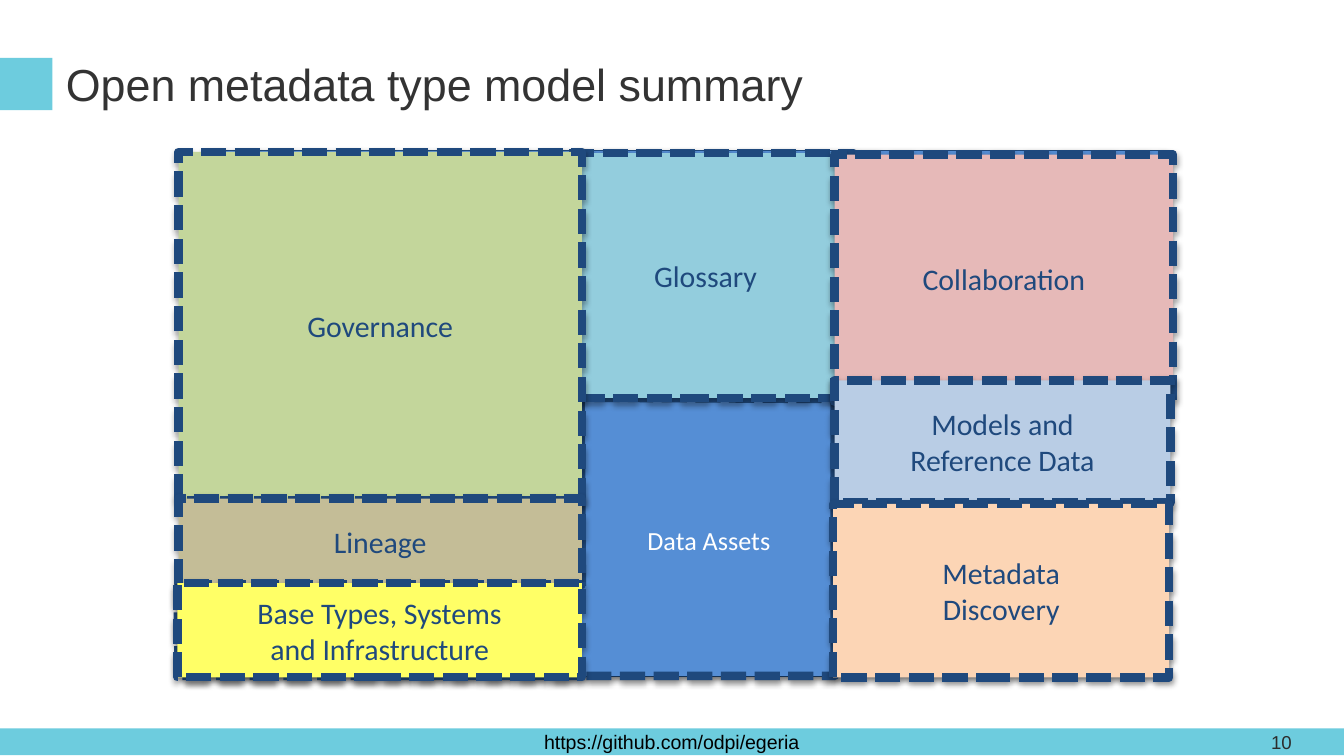
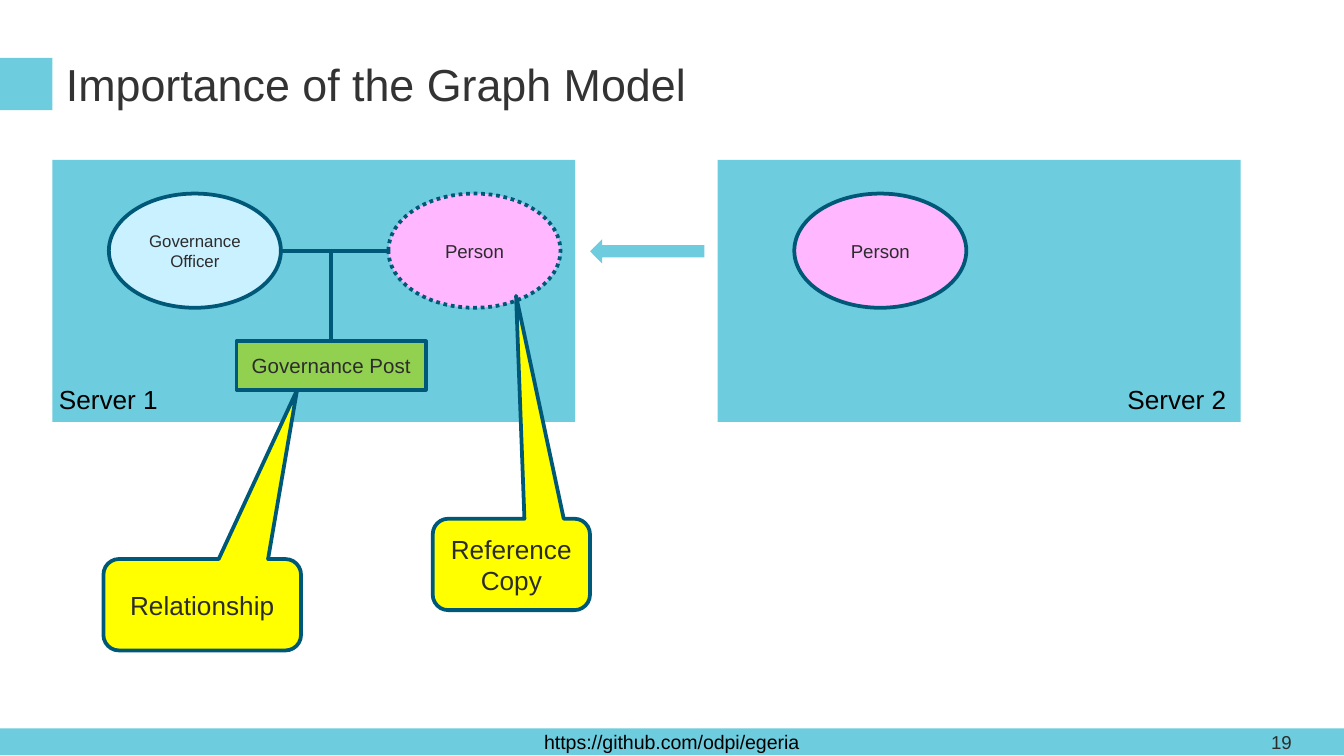
from dataclasses import dataclass

from lxml import etree
from pptx import Presentation
from pptx.dml.color import RGBColor
from pptx.enum.dml import MSO_LINE
from pptx.enum.shapes import MSO_CONNECTOR, MSO_SHAPE as SHAPE
from pptx.enum.text import MSO_ANCHOR as ANCHOR, MSO_AUTO_SIZE as AUTO, PP_ALIGN as ALIGN
from pptx.oxml.ns import qn
from pptx.util import Inches, Pt


@dataclass(frozen=True)
class Theme:
    band: str = "6DCCDE"
    title: str = "333333"
    body: str = "2C2C2C"
    black: str = "000000"
    white: str = "FFFFFF"
    navy: str = "1F497D"
    blue: str = "558ED5"
    teal: str = "005878"
    pink: str = "FFB7FF"
    sky: str = "C9F1FF"
    green: str = "92D050"
    yellow: str = "FFFF00"
    font: str = "Arial"
    area_font: str = "Calibri"
    title_pt: float = 24
    area_pt: float = 16
    label_pt: float = 14
    post_pt: float = 11
    footer_pt: float = 10.5
    number_pt: float = 10
    person_pt: float = 10
    officer_pt: float = 9


T = Theme()

# Content
FOOTER = "https://github.com/odpi/egeria"
SUMMARY_TITLE, SUMMARY_NUMBER = "Open metadata type model summary", 10
GRAPH_TITLE, GRAPH_NUMBER = "Importance of the Graph Model", 19

AREA_BACK = (1.53, 1.12, 7.15, 3.91)
DATA_ASSETS = ("Data Assets", (4.71, 3.85, 1.13, 0.34))
DATA_ASSETS_OUTLINE = [(4.33, 4.36), (4.32, 2.96), (6.21, 2.97),
                       (6.21, 5.03), (1.33, 5.03), (1.32, 4.37)]
AREAS = [  # text, box, fill
    ("Glossary", (4.15, 1.14, 2.2, 1.82), "93CDDD"),
    ("Collaboration", (6.21, 1.15, 2.52, 1.84), "E6B9B8"),
    ("Governance", (1.33, 1.13, 3, 2.59), "C3D69B"),
    ("Models and\nReference Data", (6.21, 2.83, 2.5, 0.91), "B9CDE5"),
    ("Metadata\nDiscovery", (6.2, 3.75, 2.5, 1.29), "FCD5B5"),
    ("Lineage", (1.33, 3.71, 3, 0.64), "C4BD97"),
    ("Base Types, Systems\nand Infrastructure", (1.32, 4.34, 3.01, 0.7), "FFFF66"),
]

SERVER_TOP, SERVER_W, SERVER_H = 1.19, 3.89, 1.95
SERVERS = [("Server 1", 0.39, 0.34), ("Server 2", 5.34, 8.29)]  # name, left, label left
ENTITY_TOP, ENTITY_W, ENTITY_H = 1.44, 1.28, 0.85
ENTITIES = [  # text, left, fill, size, dash
    ("Governance Officer", 0.81, T.sky, T.officer_pt, None),
    ("Person", 5.91, T.pink, T.person_pt, None),
    ("Person", 2.89, T.pink, T.person_pt, MSO_LINE.ROUND_DOT),
]
POST = ("Governance Post", (1.76, 2.54, 1.41, 0.36))
COPY_ARROW = (4.39, 1.78, 0.85, 0.18)
CALLOUTS = [  # text, box, adjustments
    ("Reference\nCopy", (3.22, 3.86, 1.17, 0.68), (0.03, -2.94, 0.17)),
    ("Relationship", (0.77, 4.16, 1.47, 0.68), (0.48, -2.35, 0.17)),
]


# Helpers
def rgb(value):
    return RGBColor.from_string(value)


def inches(values):
    return [Inches(v) for v in values]


def write(shape, text, size, color, font=T.font, align=ALIGN.CENTER, **frame):
    tf = shape.text_frame
    for name, value in ({"word_wrap": True} | frame).items():
        setattr(tf, name, value)
    for i, line in enumerate(text.split("\n")):
        p = tf.paragraphs[0] if i == 0 else tf.add_paragraph()
        p.alignment = align
        r = p.add_run()
        r.text = line
        for name, value in {"size": Pt(size), "name": font}.items():
            setattr(r.font, name, value)
        r.font.color.rgb = rgb(color)


def paint(shape, fill, line=None, width=1, dash=None):
    shape.shadow.inherit = False
    shape.fill.solid()
    shape.fill.fore_color.rgb = rgb(fill)
    if line is None:
        shape.line.fill.background()
        return
    shape.line.color.rgb = rgb(line)
    shape.line.width = Pt(width)
    if dash is not None:
        shape.line.dash_style = dash


def add_shape(s, kind, box, fill, **outline):
    shape = s.shapes.add_shape(kind, *inches(box))
    paint(shape, fill, **outline)
    return shape


def add_shadow(shape):
    effects = shape.element.spPr.find(qn("a:effectLst"))
    outer = etree.SubElement(effects, qn("a:outerShdw"), blurRad="40000",
                             dist="23000", dir="5400000", rotWithShape="0")
    color = etree.SubElement(outer, qn("a:srgbClr"), val=T.black)
    etree.SubElement(color, qn("a:alpha"), val="35000")


def add_label(s, text, box, color, font=T.font, align=ALIGN.LEFT):
    label = s.shapes.add_textbox(*inches(box))
    write(label, text, T.label_pt, color, font, align,
          word_wrap=False, auto_size=AUTO.SHAPE_TO_FIT_TEXT)


def add_line(s, start, end):
    line = s.shapes.add_connector(MSO_CONNECTOR.STRAIGHT, *inches(start + end))
    line.line.color.rgb = rgb(T.teal)
    line.line.width = Pt(2.25)
    etree.SubElement(line.element.spPr, qn("a:effectLst"))
    return line


# Shared parts
def margins(side, edge):
    return {"margin_left": Inches(side), "margin_right": Inches(side),
            "margin_top": Inches(edge), "margin_bottom": Inches(edge)}


def add_bands(s, layout):
    """Draw the footer band and title marker, then hand them to the layout."""
    for ph in list(layout.placeholders)[1:]:
        ph.element.getparent().remove(ph.element)
    footer = add_shape(s, SHAPE.RECTANGLE, (0, 5.42, 10, 0.2), T.band)
    write(footer, FOOTER, T.footer_pt, T.black, vertical_anchor=ANCHOR.MIDDLE,
          **margins(0.1, 0.05))
    marker = add_shape(s, SHAPE.RECTANGLE, (0, 0.43, 0.39, 0.39), T.band)
    for shape in (footer, marker):
        layout.shapes.element.append(shape.element)


def new_slide(prs, layout, title, number):
    s = prs.slides.add_slide(layout)
    ph = s.shapes.title
    ph.left, ph.top, ph.width, ph.height = inches((0.39, 0.32, 9.27, 0.62))
    write(ph, title, T.title_pt, T.title, align=ALIGN.LEFT, auto_size=AUTO.NONE,
          vertical_anchor=ANCHOR.TOP, **margins(0.1, 0.1))
    box = s.shapes.add_textbox(*inches((9.36, 5.42, 0.6, 0.2)))
    write(box, str(number), T.number_pt, T.body, align=ALIGN.LEFT,
          vertical_anchor=ANCHOR.MIDDLE, **margins(0.1, 0.1))
    return s


# Slides
def draw_summary(s):
    dashed = {"line": T.navy, "width": 4.5, "dash": MSO_LINE.SQUARE_DOT}
    add_shadow(add_shape(s, SHAPE.RECTANGLE, AREA_BACK, T.blue, line=T.navy, width=0.75))

    start, *rest = [inches(point) for point in DATA_ASSETS_OUTLINE]
    builder = s.shapes.build_freeform(*start)
    builder.add_line_segments(rest, close=True)
    assets = builder.convert_to_shape()
    paint(assets, T.blue, **dashed)
    add_shadow(assets)

    for text, box, fill in AREAS:
        area = add_shape(s, SHAPE.RECTANGLE, box, fill, **dashed)
        add_shadow(area)
        write(area, text, T.area_pt, T.navy, T.area_font, vertical_anchor=ANCHOR.MIDDLE)
    add_label(s, *DATA_ASSETS, T.white, T.area_font, ALIGN.CENTER)


def draw_graph(s):
    outline = {"line": T.teal, "width": 2}

    # Servers and what they hold
    for name, left, label_left in SERVERS:
        add_shape(s, SHAPE.RECTANGLE, (left, SERVER_TOP, SERVER_W, SERVER_H), T.band)
        add_label(s, name, (label_left, 2.8, 0.94, 0.34), T.black)
    for text, left, fill, size, dash in ENTITIES:
        entity = add_shape(s, SHAPE.OVAL, (left, ENTITY_TOP, ENTITY_W, ENTITY_H),
                           fill, dash=dash, **outline)
        write(entity, text, size, T.body, vertical_anchor=ANCHOR.MIDDLE)
    text, box = POST
    post = add_shape(s, SHAPE.RECTANGLE, box, T.green, **outline)
    write(post, text, T.post_pt, T.body, vertical_anchor=ANCHOR.MIDDLE)
    add_shape(s, SHAPE.LEFT_ARROW, COPY_ARROW, T.band)

    # Relationship lines
    officer, _, person = ENTITIES
    mid_y = ENTITY_TOP + ENTITY_H / 2
    post_x = box[0] + box[2] / 2
    add_line(s, (officer[1] + ENTITY_W, mid_y), (person[1], mid_y))
    add_line(s, (post_x, mid_y), (post_x, box[1])).end_connect(post, 0)

    # Callouts
    for text, box, adjustments in CALLOUTS:
        callout = add_shape(s, SHAPE.ROUNDED_RECTANGULAR_CALLOUT, box, T.yellow, **outline)
        for i, value in enumerate(adjustments):
            callout.adjustments[i] = value
        write(callout, text, T.label_pt, T.body, vertical_anchor=ANCHOR.MIDDLE)


def main():
    prs = Presentation()
    prs.slide_width = Inches(10)
    prs.slide_height = prs.slide_width * 9 // 16
    layout = prs.slide_layouts[5]
    summary = new_slide(prs, layout, SUMMARY_TITLE, SUMMARY_NUMBER)
    add_bands(summary, layout)
    draw_summary(summary)
    draw_graph(new_slide(prs, layout, GRAPH_TITLE, GRAPH_NUMBER))
    prs.save("out.pptx")


if __name__ == "__main__":
    main()
